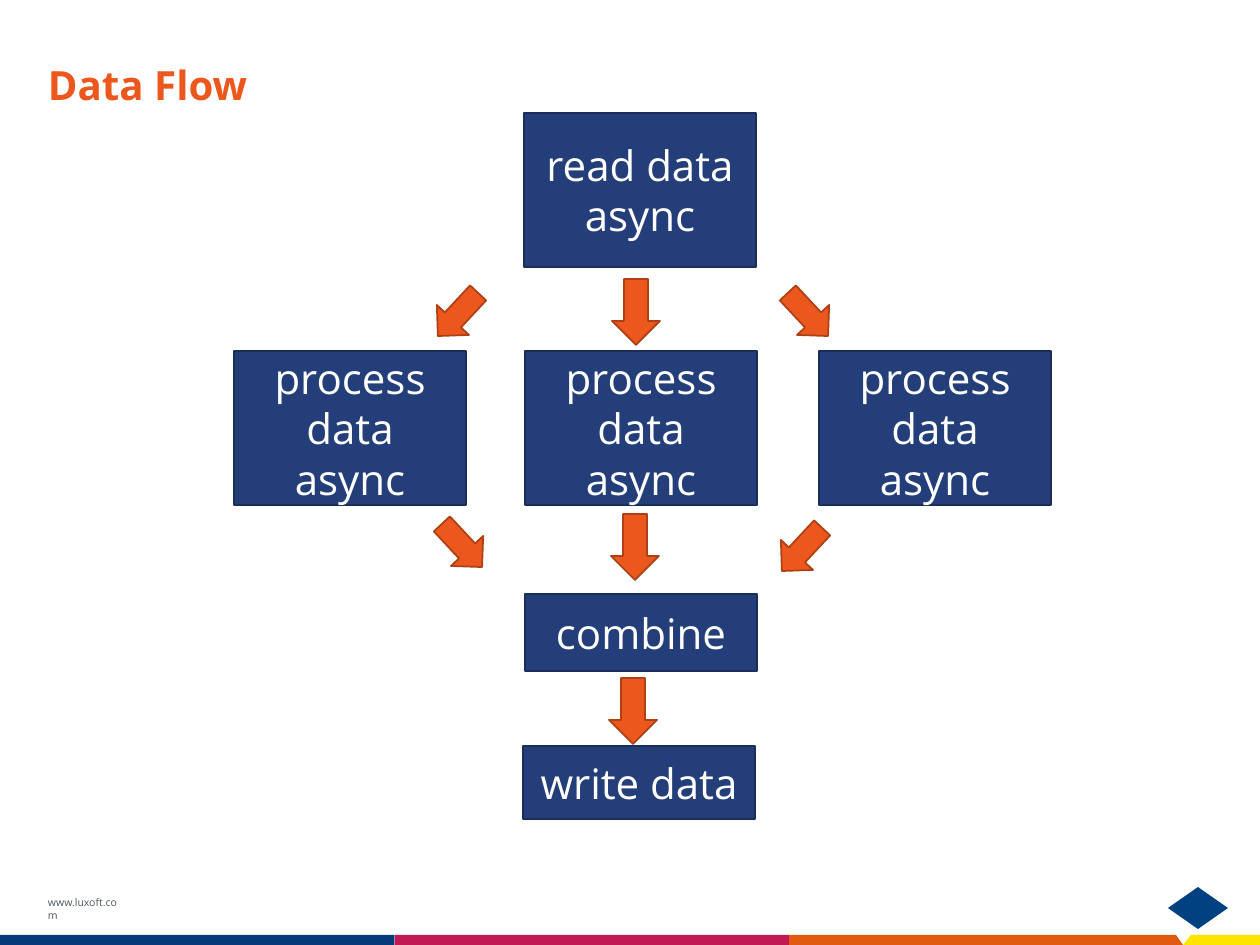
from dataclasses import dataclass

from pptx import Presentation
from pptx.dml.color import RGBColor
from pptx.enum.shapes import MSO_SHAPE as Preset
from pptx.enum.text import MSO_ANCHOR as Anchor, PP_ALIGN as Align
from pptx.util import Pt

EMU_PER_PX = 914400 / 126
WIDTH, HEIGHT = 1260, 945
FONT = "Open Sans"
NAVY, NAVY_EDGE = "243E79", "1B2E5A"
ORANGE, ORANGE_EDGE = "EB571C", "AE4015"
STEP_WIDTH = 232
STRIPE_TOP, STRIPE_WIDTH = 935, 394.5


@dataclass(frozen=True)
class Step:
    label: str
    left: int
    top: int
    height: int = 154


@dataclass(frozen=True)
class Arrow:
    left: int
    top: int
    rotation: int = 0

    @property
    def size(self) -> tuple[int, int]:
        return (44, 59) if self.rotation else (48, 66)


STEPS = [
    Step("read data async", 524, 113),
    *(Step("process data async", left, 351) for left in (234, 525, 819)),
    Step("combine", 525, 594, 77),
    Step("write data", 523, 746, 73),
]
ARROWS = [
    Arrow(436, 285, 43), Arrow(612, 279), Arrow(786, 285, 317),
    Arrow(440, 516, 317), Arrow(611, 514), Arrow(780, 520, 43),
    Arrow(609, 678),
]
SLANTED_STRIPES = {
    "FFE500": [(1191, 935), (1260, 935), (1260, 945), (1183, 945)],
    "E25A10": [(789, 935), (1176, 935), (1183, 945), (789, 945)],
}


def px(length: float) -> int:
    return round(length * EMU_PER_PX)


def colour(value: str) -> RGBColor:
    return RGBColor.from_string(value)


def paint(shape, fill: str, edge: str | None = None) -> None:
    shape.shadow.inherit = False
    shape.fill.solid()
    shape.fill.fore_color.rgb = colour(fill)
    if edge:
        shape.line.color.rgb = colour(edge)
        shape.line.width = Pt(1)
    else:
        shape.line.fill.background()


def add_preset(slide, preset, box: tuple, fill: str, edge: str | None = None):
    shape = slide.shapes.add_shape(preset, *map(px, box))
    paint(shape, fill, edge)
    return shape


def write(shape, text: str, size: float, ink: str, frame_format: dict,
          paragraph_format: dict, bold: bool = False) -> None:
    frame = shape.text_frame
    paragraph = frame.paragraphs[0]
    run = paragraph.add_run()
    run.text = text
    run.font.color.rgb = colour(ink)
    font_format = {"name": FONT, "size": Pt(size), "bold": bold}
    for target, values in ((frame, {"word_wrap": True} | frame_format),
                           (paragraph, paragraph_format),
                           (run.font, font_format)):
        for name, value in values.items():
            setattr(target, name, value)


def add_step(slide, step: Step) -> None:
    box = (step.left, step.top, STEP_WIDTH, step.height)
    shape = add_preset(slide, Preset.RECTANGLE, box, NAVY, NAVY_EDGE)
    write(shape, step.label, 24, "FFFFFF",
          {"vertical_anchor": Anchor.MIDDLE}, {"alignment": Align.CENTER})


def add_arrow(slide, arrow: Arrow) -> None:
    box = (arrow.left, arrow.top, *arrow.size)
    shape = add_preset(slide, Preset.DOWN_ARROW, box, ORANGE, ORANGE_EDGE)
    shape.rotation = arrow.rotation


def add_caption(slide, box: tuple, text: str, size: float, ink: str,
                anchor, bold: bool = False) -> None:
    """Left-aligned text with the narrow insets of the title and footer."""
    frame_format = {"vertical_anchor": anchor,
                    "margin_left": px(9), "margin_right": px(9),
                    "margin_top": px(5), "margin_bottom": px(5)}
    write(slide.shapes.add_textbox(*map(px, box)), text, size, ink,
          frame_format, {"alignment": Align.LEFT}, bold)


def add_footer(slide) -> None:
    add_caption(slide, (39, 891, 93, 23), "www.luxoft.com", 6, "4E5761", Anchor.TOP)
    for fill, corners in SLANTED_STRIPES.items():
        builder = slide.shapes.build_freeform(*corners[0], scale=EMU_PER_PX)
        builder.add_line_segments(corners[1:], close=True)
        paint(builder.convert_to_shape(), fill)
    for column, fill in enumerate(("043B7B", "C01953")):
        box = (column * STRIPE_WIDTH, STRIPE_TOP, STRIPE_WIDTH, HEIGHT - STRIPE_TOP)
        add_preset(slide, Preset.RECTANGLE, box, fill)
    add_preset(slide, Preset.DIAMOND, (1168, 887, 60, 42), "004180")


def main() -> None:
    deck = Presentation()
    deck.slide_width, deck.slide_height = px(WIDTH), px(HEIGHT)
    slide = deck.slides.add_slide(deck.slide_layouts[6])
    add_footer(slide)
    add_caption(slide, (39, 50, 1184, 69), "Data Flow", 23, ORANGE,
                Anchor.MIDDLE, bold=True)
    for step in STEPS:
        add_step(slide, step)
    for arrow in ARROWS:
        add_arrow(slide, arrow)
    deck.save("out.pptx")


if __name__ == "__main__":
    main()
